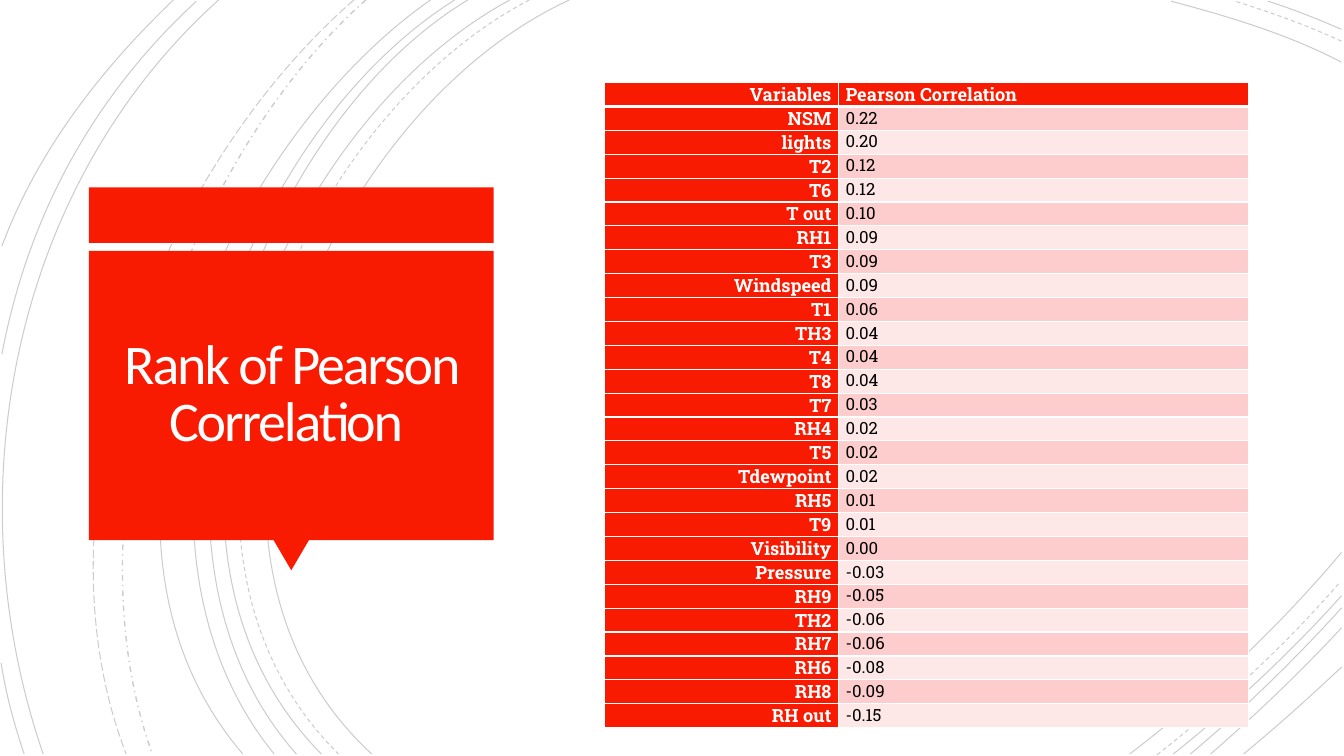
from dataclasses import dataclass

from lxml import etree
from pptx import Presentation
from pptx.dml.color import RGBColor
from pptx.enum.dml import MSO_LINE
from pptx.enum.shapes import MSO_SHAPE
from pptx.enum.text import MSO_ANCHOR, MSO_AUTO_SIZE, PP_ALIGN
from pptx.oxml.ns import qn
from pptx.util import Cm, Pt

SOLID, DASH = MSO_LINE.SOLID, MSO_LINE.DASH
DASH_DOT, LONG_DASH = MSO_LINE.DASH_DOT, MSO_LINE.LONG_DASH
RECTANGLE, TRIANGLE = MSO_SHAPE.RECTANGLE, MSO_SHAPE.ISOSCELES_TRIANGLE
LEFT, CENTER, RIGHT = PP_ALIGN.LEFT, PP_ALIGN.CENTER, PP_ALIGN.RIGHT
MIDDLE, NO_AUTOFIT = MSO_ANCHOR.MIDDLE, MSO_AUTO_SIZE.NONE
TITLE_ONLY = 5


@dataclass(frozen=True)
class Theme:
    accent: str = "F81B02"
    tints: tuple = ("FCCDCC", "FEE8E7")
    arc: str = "000000"
    arc_opacity: int = 20
    white: str = "FFFFFF"
    title_color: str = "FFFEFF"
    ink: str = "000000"
    title_font: str = "Calibri"
    table_font: str = "Roboto Slab"
    title_size: int = 40
    label_size: int = 13
    value_size: int = 12


@dataclass(frozen=True)
class Box:
    left: float
    top: float
    width: float
    height: float


THEME = Theme()

ARCS = [
    (SOLID, 0.75, [(14.35, 0), (8, 2.92), (3.63, 13.72), (9.37, 19)]),
    (SOLID, 0.75, [(33.81, 1.57), (32.46, 0.86), (30.94, 0.41), (29.51, 0.03)]),
    (SOLID, 0.75, [(28.47, 19), (30.4, 17.53), (32.23, 15.8), (33.81, 13.92)]),
    (DASH, 0.75, [(13.34, 0), (7.24, 3.18), (3.12, 13.64), (8.53, 19)]),
    (DASH, 0.75, [(33.81, 1.04), (32.94, 0.64), (32, 0.3), (31.12, 0.03)]),
    (DASH, 0.75, [(29.16, 19.02), (30.81, 17.73), (32.39, 16.26), (33.78, 14.66)]),
    (SOLID, 0.75, [(12.85, 0), (6.86, 3.23), (2.79, 13.64), (8.1, 19)]),
    (SOLID, 0.75, [(33.81, 0.74), (33.2, 0.48), (32.59, 0.23), (31.95, 0.03)]),
    (SOLID, 0.75, [(29.57, 19), (31.06, 17.81), (32.51, 16.46), (33.81, 15.01)]),
    (SOLID, 0.75, [(11.79, 0), (6.2, 3.38), (2.79, 13.74), (7.47, 19)]),
    (SOLID, 0.75, [(30, 19), (31.34, 17.88), (32.61, 16.64), (33.81, 15.32)]),
    (SOLID, 0.75, [(11.46, 0), (5.87, 3.51), (2.46, 13.54), (6.91, 19)]),
    (SOLID, 0.75, [(30.51, 19), (31.65, 18.01), (32.77, 16.94), (33.81, 15.82)]),
    (SOLID, 0.75, [(10.85, 0), (5.51, 3.73), (1.35, 13.44), (6.12, 19)]),
    (SOLID, 0.75, [(31.34, 19), (32.18, 18.31), (32.99, 17.58), (33.81, 16.81)]),
    (DASH_DOT, 1, [(9.22, 0), (4.47, 4.22), (1.65, 12.93), (3.84, 19)]),
    (LONG_DASH, 0.75, [(8.92, 0), (3.99, 4.29), (0.74, 12.67), (3.18, 19)]),
    (SOLID, 0.75, [(5.51, 0), (0.28, 4.7), (-1.17, 12.45), (1.09, 19)]),
    (SOLID, 0.75, [(4.95, 0.03), (2.34, 2.44), (0.71, 5.44), (0.05, 8.92)]),
    (SOLID, 0.75, [(0.03, 16.71), (0.15, 17.5), (0.36, 18.26), (0.61, 19)]),
    (SOLID, 0.75, [(4.37, 0), (2.54, 1.75), (0.94, 3.81), (0.05, 6.2)]),
]

CORRELATIONS = [
    ("NSM", "0.22"), ("lights", "0.20"), ("T2", "0.12"), ("T6", "0.12"),
    ("T out", "0.10"), ("RH1", "0.09"), ("T3", "0.09"), ("Windspeed", "0.09"),
    ("T1", "0.06"), ("TH3", "0.04"), ("T4", "0.04"), ("T8", "0.04"),
    ("T7", "0.03"), ("RH4", "0.02"), ("T5", "0.02"), ("Tdewpoint", "0.02"),
    ("RH5", "0.01"), ("T9", "0.01"), ("Visibility", "0.00"),
    ("Pressure", "-0.03"), ("RH9", "-0.05"), ("TH2", "-0.06"),
    ("RH7", "-0.06"), ("RH6", "-0.08"), ("RH8", "-0.09"), ("RH out", "-0.15"),
]


def write_text(frame, text, *, font, size, color, bold=False, align=LEFT,
               line_spacing=1.0, tracking=0):
    para = frame.paragraphs[0]
    para.alignment = align
    para.line_spacing = line_spacing
    span = para.add_run()
    span.text = text
    span.font.name = font
    span.font.size = Pt(size)
    span.font.bold = bold
    span.font.color.rgb = RGBColor.from_string(color)
    if tracking:
        span.font._element.set("spc", str(round(tracking * 100)))


def bend(shape):
    start, *segments = next(shape.element.iter(qn("a:path")))
    curve = etree.SubElement(start.getparent(), qn("a:cubicBezTo"))
    for segment in segments:
        curve.append(segment[0])
        segment.getparent().remove(segment)


def draw_arcs(page, box):
    group = page.shapes.add_group_shape()
    for dash, weight, points in ARCS:
        start, *rest = [(Cm(box.left + x), Cm(box.top + y)) for x, y in points]
        builder = group.shapes.build_freeform(*start)
        builder.add_line_segments(rest, close=False)
        arc = builder.convert_to_shape()
        bend(arc)
        arc.shadow.inherit = False
        arc.fill.background()
        arc.line.color.rgb = RGBColor.from_string(THEME.arc)
        arc.line.width = Pt(weight)
        arc.line.dash_style = dash
        color = next(arc.element.iter(qn("a:srgbClr")))
        etree.SubElement(color, qn("a:alpha"), val=str(THEME.arc_opacity * 1000))


def draw_title_panel(page, box, text):
    strip, gap, pointer_width, pointer_height, inset = 1.4, 0.2, 0.89, 0.76, 0.22
    panel_top = box.top + strip + gap
    panel_bottom = box.top + box.height - pointer_height
    pointer_left = box.left + (box.width - pointer_width) / 2
    group = page.shapes.add_group_shape()
    for kind, left, top, width, height, turn in [
        (RECTANGLE, box.left, box.top, box.width, strip, 0),
        (TRIANGLE, pointer_left, panel_bottom, pointer_width, pointer_height, 180),
        (RECTANGLE, box.left, panel_top, box.width, panel_bottom - panel_top, 0),
    ]:
        part = group.shapes.add_shape(kind, Cm(left), Cm(top), Cm(width), Cm(height))
        part.rotation = turn
        part.shadow.inherit = False
        part.fill.solid()
        part.fill.fore_color.rgb = RGBColor.from_string(THEME.accent)
        part.line.fill.background()

    title = page.shapes.title
    title.left, title.top = Cm(box.left + inset), Cm(panel_top + inset)
    title.width = Cm(box.width - 2 * inset)
    title.height = Cm(panel_bottom - panel_top - 2 * inset)
    frame = title.text_frame
    frame.word_wrap = True
    frame.auto_size = NO_AUTOFIT
    frame.vertical_anchor = MIDDLE
    frame.margin_left = frame.margin_right = Cm(0.64)
    frame.margin_top = frame.margin_bottom = Cm(0.64)
    write_text(frame, text, font=THEME.title_font, size=THEME.title_size,
               color=THEME.title_color, align=CENTER, line_spacing=0.85, tracking=-1.5)
    group.element.addnext(title.element)


def set_borders(cell, **weights):
    properties = cell._tc.get_or_add_tcPr()
    for position, side in enumerate("LRTB"):
        line = etree.Element(qn(f"a:ln{side}"), w=str(Pt(weights.get(side, 1))))
        fill = etree.SubElement(line, qn("a:solidFill"))
        etree.SubElement(fill, qn("a:srgbClr"), val=THEME.white)
        properties.insert(position, line)


def draw_correlation_table(page, box):
    rows = [("Variables", "Pearson Correlation"), *CORRELATIONS]
    table = page.shapes.add_table(len(rows), 2, Cm(box.left), Cm(box.top),
                                  Cm(box.width), Cm(box.height)).table
    table.horz_banding = False
    label_width = 5.89
    table.columns[0].width = Cm(label_width)
    table.columns[1].width = Cm(box.width - label_width)
    for row, texts in enumerate(rows):
        table.rows[row].height = Cm(box.height / len(rows))
        for column, text in enumerate(texts):
            cell = table.cell(row, column)
            label = row == 0 or column == 0
            cell.margin_left = cell.margin_right = Cm(0.18)
            cell.margin_top = cell.margin_bottom = Cm(0)
            cell.fill.solid()
            cell.fill.fore_color.rgb = RGBColor.from_string(
                THEME.accent if label else THEME.tints[(row - 1) % 2])
            set_borders(cell, B=3 if row == 0 else 1, T=3 if row == 1 else 1)
            write_text(cell.text_frame, text, font=THEME.table_font,
                       size=THEME.label_size if label else THEME.value_size,
                       color=THEME.white if label else THEME.ink,
                       bold=label, align=LEFT if column else RIGHT)


def main():
    deck = Presentation()
    deck.slide_width, deck.slide_height = Cm(33.87), Cm(19.05)
    page = deck.slides.add_slide(deck.slide_layouts[TITLE_ONLY])
    draw_arcs(page, Box(0, 0, 33.87, 19.05))
    draw_title_panel(page, Box(2.24, 4.72, 10.2, 9.65), "Rank of Pearson Correlation ")
    draw_correlation_table(page, Box(15.24, 2.08, 16.23, 14.86))
    deck.save("out.pptx")


if __name__ == "__main__":
    main()
